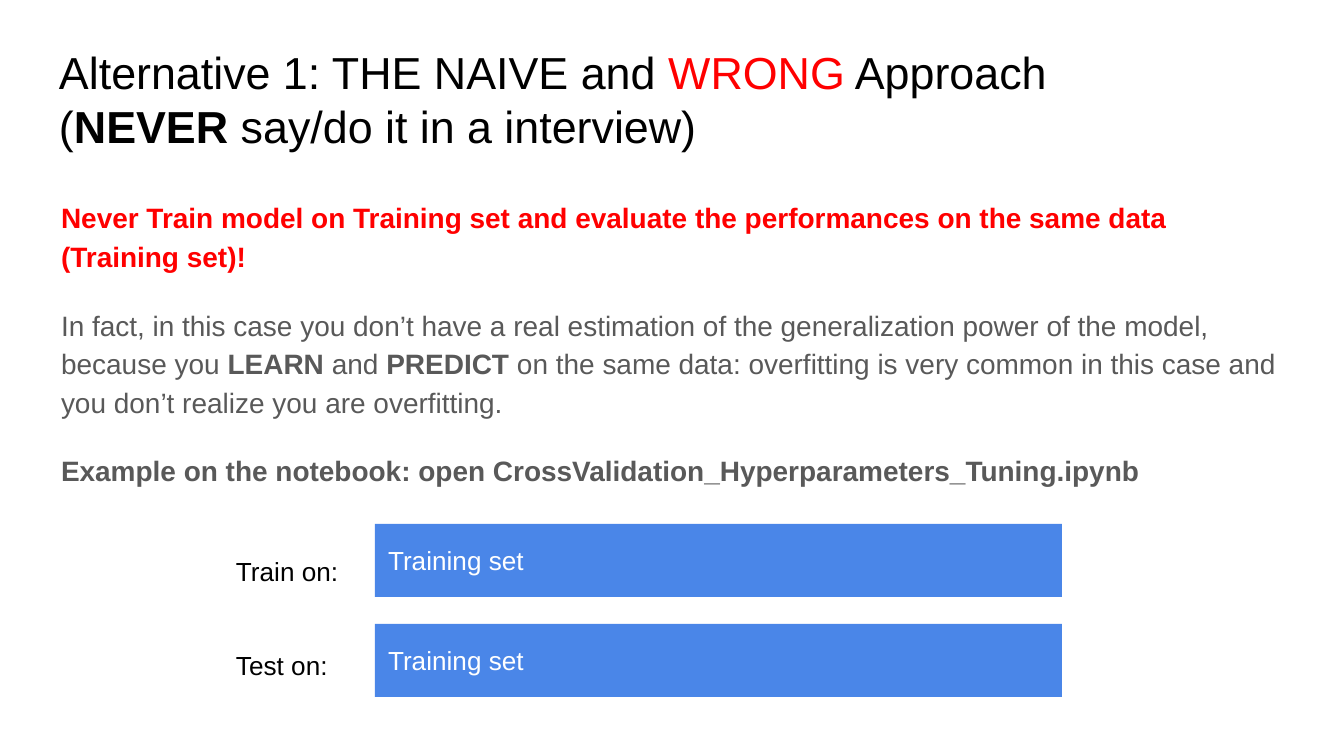
import pptx
import pptx.dml.color
import pptx.enum.shapes
import pptx.enum.text
import pptx.util

EMU_PER_PX = 914400 / 134.4
BLACK, WHITE, RED, GRAY, BLUE = "000000", "FFFFFF", "FF0000", "595959", "4A86E8"


def px(n):
    return pptx.util.Emu(round(n * EMU_PER_PX))


def rgb(color):
    return pptx.dml.color.RGBColor.from_string(color)


def write(p, text, size=14, color=BLACK, bold=False, font="Arial"):
    r = p.add_run()
    r.text = text
    r.font.name = font
    r.font.size = pptx.util.Pt(size)
    r.font.bold = bold
    r.font.color.rgb = rgb(color)


class Deck:
    """Holds the shared text style and the current slide."""

    inset = 13

    def __init__(self, width, height):
        self.prs = pptx.Presentation()
        self.prs.slide_width, self.prs.slide_height = px(width), px(height)
        self.s = self.prs.slides.add_slide(self.prs.slide_layouts[5])

    def fill_frame(self, sp, paragraphs, anchor="TOP", line=1.0, before=0, **style):
        """Each paragraph is a list of (text, format overrides) pairs."""
        tf = sp.text_frame
        tf.word_wrap = True
        tf.auto_size = pptx.enum.text.MSO_AUTO_SIZE.NONE
        tf.vertical_anchor = pptx.enum.text.MSO_ANCHOR[anchor]
        tf.margin_left = tf.margin_right = px(self.inset)
        tf.margin_top = tf.margin_bottom = px(self.inset)
        for i, runs in enumerate(paragraphs):
            p = tf.add_paragraph() if i else tf.paragraphs[0]
            p.alignment = pptx.enum.text.PP_ALIGN.LEFT
            p.line_spacing = line
            p.space_before = pptx.util.Pt(before if i else 0)
            for text, changes in runs:
                write(p, text, **{**style, **changes})

    def title(self, x, y, w, h, paragraphs, **style):
        sp = self.s.shapes.title
        sp.left, sp.top, sp.width, sp.height = map(px, (x, y, w, h))
        self.fill_frame(sp, paragraphs, **style)

    def text(self, x, y, w, h, paragraphs, **style):
        sp = self.s.shapes.add_textbox(*map(px, (x, y, w, h)))
        self.fill_frame(sp, paragraphs, **style)

    def bar(self, x, y, w, h, text):
        sp = self.s.shapes.add_shape(
            pptx.enum.shapes.MSO_SHAPE.RECTANGLE, *map(px, (x, y, w, h)))
        sp.shadow.inherit = False
        sp.fill.solid()
        sp.fill.fore_color.rgb = rgb(BLUE)
        sp.line.fill.background()
        self.fill_frame(sp, [[(text, {})]], anchor="MIDDLE", color=WHITE)


def main():
    deck = Deck(1344, 756)
    bold = {"bold": True}
    deck.title(46, 32, 1247, 87, [
        [("Alternative 1: THE NAIVE and ", {}), ("WRONG", {"color": RED}),
         (" Approach", {})],
        [("(", {}), ("NEVER", bold), (" say/do it in a interview)", {})],
    ], size=24)
    deck.text(48, 183, 1247, 349, [
        [("Never Train model on Training set and evaluate the performances "
          "on the same data (Training set)!", {"color": RED, "bold": True})],
        [("In fact, in this case you don’t have a real estimation of the "
          "generalization power of the model, because you ", {}),
         ("LEARN", bold), (" and ", {}), ("PREDICT", bold),
         (" on the same data: overfitting is very common in this case and "
          "you don’t realize you are overfitting.", {})],
        [("Example on the notebook: open "
          "CrossValidation_Hyperparameters_Tuning.ipynb", bold)],
    ], size=15, color=GRAY, line=1.15, before=16)
    for row in range(2):
        deck.bar(375, 524 + 100 * row, 687, 73, "Training set")
    deck.text(223, 542, 198, 39, [[("Train on:", {})], [("Test on:", {})]], before=34)
    deck.prs.save("out.pptx")


if __name__ == "__main__":
    main()
